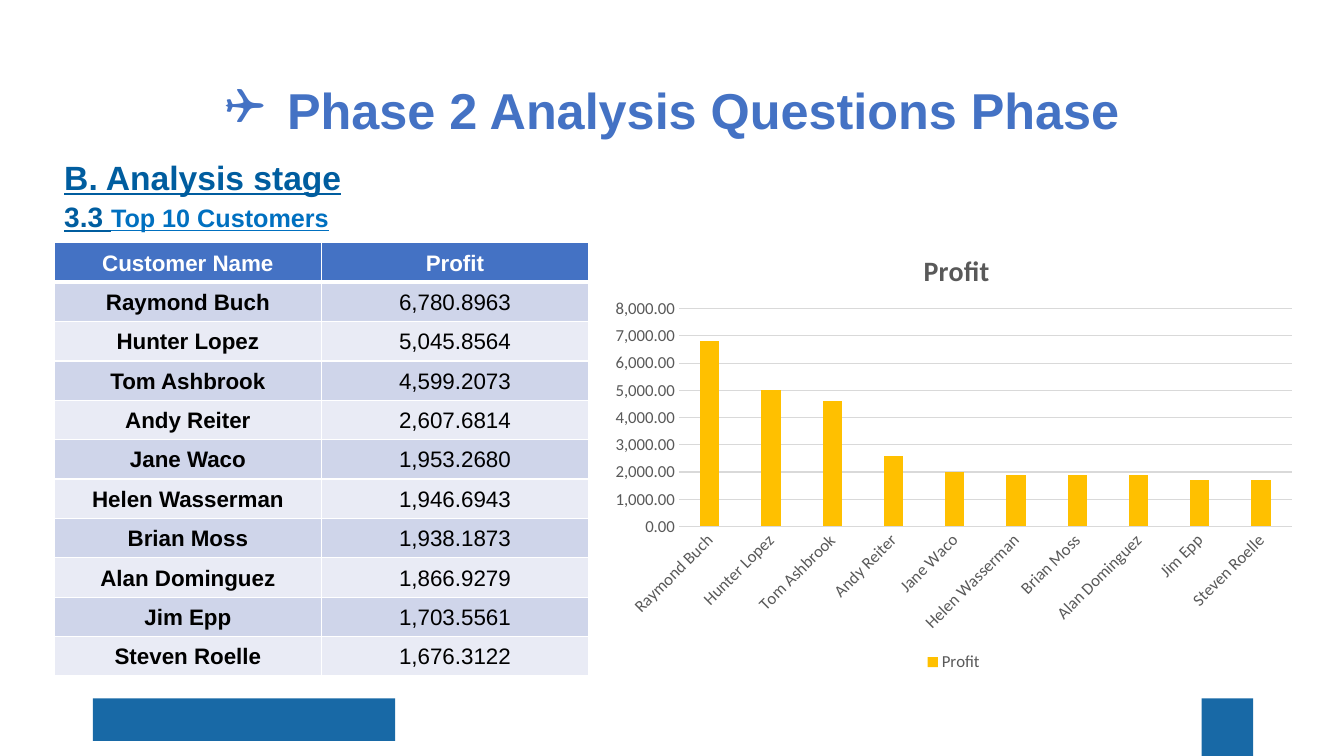
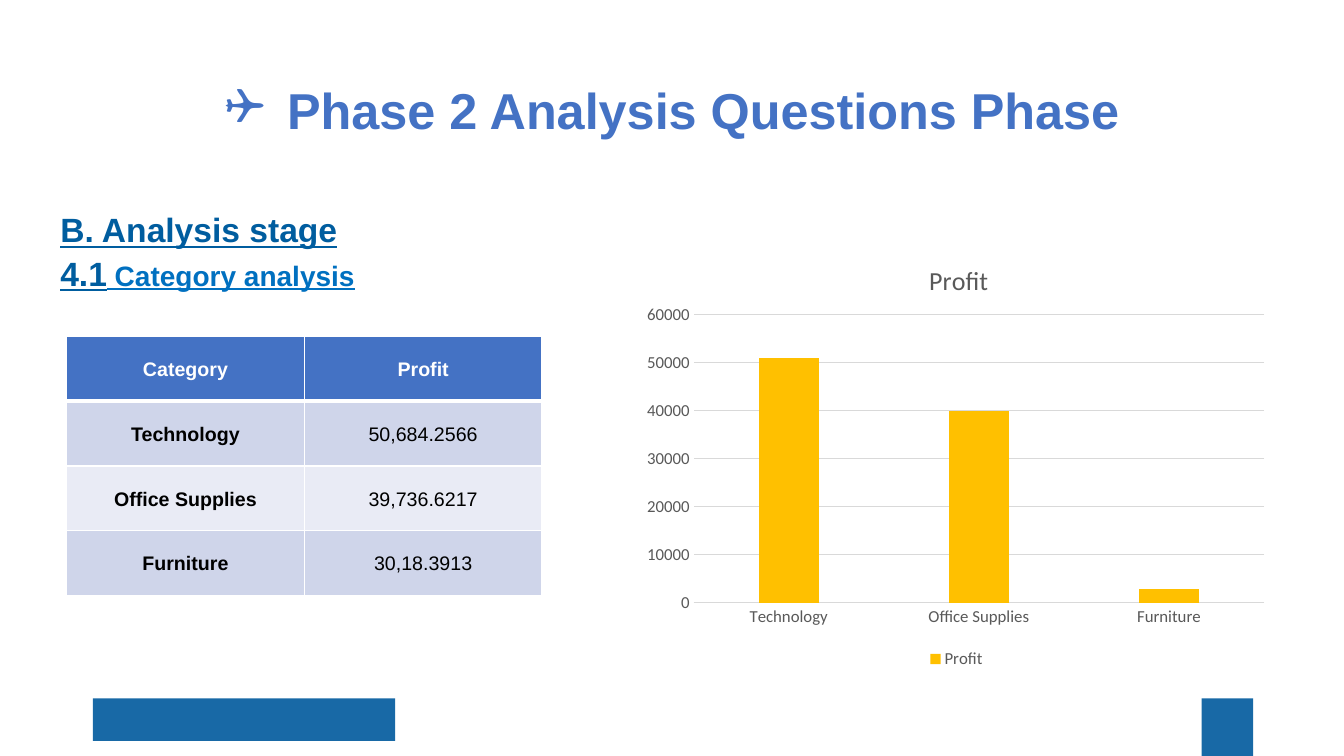
from dataclasses import dataclass
from typing import NamedTuple

from lxml.etree import SubElement
from pptx import Presentation
from pptx.chart.data import CategoryChartData
from pptx.dml.color import RGBColor
from pptx.enum.chart import XL_CHART_TYPE as ChartType
from pptx.enum.chart import XL_LEGEND_POSITION as LegendPosition
from pptx.enum.chart import XL_TICK_MARK as TickMark
from pptx.enum.shapes import MSO_SHAPE as Preset
from pptx.enum.text import MSO_ANCHOR as Anchor
from pptx.enum.text import MSO_AUTO_SIZE as AutoSize
from pptx.enum.text import PP_ALIGN as Align
from pptx.oxml import parse_xml
from pptx.oxml.ns import nsdecls, qn
from pptx.util import Cm, Pt


# Theme and slide descriptions
@dataclass(frozen=True)
class Theme:
    font: str = "Arial"
    chart_font: str = "Calibri"
    title: str = "4472C4"
    band: str = "1869A6"
    stage: str = "005D9F"
    topic: str = "0070C0"
    header: str = "4472C4"
    rows: tuple[str, str] = ("CFD5EA", "E9EBF5")
    white: str = "FFFFFF"
    black: str = "000000"
    bars: str = "FFC000"
    chart_text: str = "595959"
    grid: str = "D9D9D9"
    title_size: float = 36
    stage_size: float = 24
    chart_size: float = 12


THEME = Theme()


class Box(NamedTuple):
    """Left, top, width and height in centimetres."""
    left: float
    top: float
    width: float
    height: float

    def lengths(self) -> tuple[Cm, ...]:
        return tuple(Cm(value) for value in self)


class Fractions(NamedTuple):
    """A place inside a chart, as shares of its width and height."""
    x: float
    y: float
    w: float | None = None
    h: float | None = None


@dataclass(frozen=True)
class Heading:
    box: Box
    number: str
    number_size: float
    topic: str
    topic_size: float


@dataclass(frozen=True)
class ProfitTable:
    box: Box
    size: float
    rows: list[tuple[str, str]]


@dataclass(frozen=True)
class ProfitChart:
    box: Box
    plot: Fractions
    values: list[int]
    title_size: float
    title_bold: bool = False
    number_format: str = "General"
    label_angle: int = 0


@dataclass(frozen=True)
class AnalysisSlide:
    heading: Heading
    table: ProfitTable
    chart: ProfitChart


SLIDE_WIDTH, SLIDE_HEIGHT = 33.87, 19.05
TITLE_TEXT = "Phase 2 Analysis Questions Phase"
TITLE_BOX = Box(2.34, 1.02, 29.21, 3.68)
BAND_TOP = 17.6
BANDS = [
    Box(2.34, BAND_TOP, 7.62, 1.07),
    Box(30.28, BAND_TOP, 1.3, SLIDE_HEIGHT - BAND_TOP),
]
CHART_TITLE_PLACE = Fractions(0.45, 0.05)

SLIDES = [
    AnalysisSlide(
        Heading(Box(1.37, 3.76, 30.18, 13.41), "3.3 ", 20, "Top 10 Customers", 18),
        ProfitTable(Box(1.37, 6.12, 13.46, 10.92), 16, [
            ("Customer Name", "Profit"),
            ("Raymond Buch", "6,780.8963"),
            ("Hunter Lopez", "5,045.8564"),
            ("Tom Ashbrook", "4,599.2073"),
            ("Andy Reiter", "2,607.6814"),
            ("Jane Waco", "1,953.2680"),
            ("Helen Wasserman", "1,946.6943"),
            ("Brian Moss", "1,938.1873"),
            ("Alan Dominguez", "1,866.9279"),
            ("Jim Epp", "1,703.5561"),
            ("Steven Roelle", "1,676.3122"),
        ]),
        ProfitChart(
            Box(15.16, 5.61, 17.75, 11.43), Fractions(0.11, 0.19, 0.87, 0.48),
            [6800, 5000, 4600, 2600, 2000, 1900, 1900, 1900, 1700, 1700],
            title_size=20, title_bold=True, number_format="#,##0.00", label_angle=-45,
        ),
    ),
    AnalysisSlide(
        Heading(Box(1.27, 5.08, 30.28, 12.09), "4.1", 24, " Category analysis", 20),
        ProfitTable(Box(1.68, 8.48, 11.98, 6.53), 14, [
            ("Category", "Profit"),
            ("Technology", "50,684.2566"),
            ("Office Supplies", "39,736.6217"),
            ("Furniture", "30,18.3913"),
        ]),
        ProfitChart(
            Box(16.03, 5.94, 16.15, 11.02), Fractions(0.09, 0.18, 0.89, 0.66),
            [51000, 40000, 3000], title_size=18.6,
        ),
    ),
]


# Text
def format_font(font, *, size: float, color: str, name: str = THEME.font,
                bold: bool = False, underline: bool = False) -> None:
    font.name, font.size = name, Pt(size)
    font.bold, font.underline = bold, underline
    font.color.rgb = RGBColor.from_string(color)


def add_text(paragraph, text: str, **font_format) -> None:
    run = paragraph.add_run()
    run.text = text
    format_font(run.font, **font_format)


def fill_solid(fill, color: str) -> None:
    fill.solid()
    fill.fore_color.rgb = RGBColor.from_string(color)


def draw_title(slide) -> None:
    title = slide.shapes.title
    title.left, title.top, title.width, title.height = TITLE_BOX.lengths()
    frame = title.text_frame
    frame.auto_size, frame.vertical_anchor = AutoSize.NONE, Anchor.MIDDLE
    paragraph = frame.paragraphs[0]
    paragraph.alignment, paragraph.line_spacing = Align.CENTER, 0.9
    properties = paragraph._p.get_or_add_pPr()
    properties.set("marL", str(Cm(1.57)))
    properties.set("indent", str(Cm(-1.57)))
    SubElement(properties, qn("a:buFont"), typeface="Wingdings")
    SubElement(properties, qn("a:buChar"), char="❑")
    add_text(paragraph, TITLE_TEXT, size=THEME.title_size, color=THEME.title, bold=True)


def draw_heading(slide, heading: Heading) -> None:
    frame = slide.shapes.add_textbox(*heading.box.lengths()).text_frame
    frame.word_wrap = True
    stage, topic = frame.paragraphs[0], frame.add_paragraph()
    stage.line_spacing = topic.line_spacing = 1.07
    emphasis = {"bold": True, "underline": True}
    add_text(stage, "B. Analysis stage", size=THEME.stage_size, color=THEME.stage, **emphasis)
    add_text(topic, heading.number, size=heading.number_size, color=THEME.stage, **emphasis)
    add_text(topic, heading.topic, size=heading.topic_size, color=THEME.topic, **emphasis)


# Bands, kept on the shared layout
def add_bands(slide, layout) -> None:
    for placeholder in list(layout.placeholders)[1:]:
        layout.shapes.element.remove(placeholder.element)
    for box in BANDS:
        band = slide.shapes.add_shape(Preset.RECTANGLE, *box.lengths())
        band.shadow.inherit = False
        fill_solid(band.fill, THEME.band)
        band.line.fill.background()
        layout.shapes.element.append(band.element)


# Table
def set_borders(cell, bottom_width: float) -> None:
    properties = cell._tc.get_or_add_tcPr()
    for side, width in (("L", 1), ("R", 1), ("T", 1), ("B", bottom_width)):
        line = SubElement(properties, qn(f"a:ln{side}"), w=str(Pt(width)))
        SubElement(SubElement(line, qn("a:solidFill")), qn("a:srgbClr"), val=THEME.white)


def draw_table(slide, spec_table: ProfitTable) -> None:
    rows, box = spec_table.rows, spec_table.box
    columns = len(rows[0])
    table = slide.shapes.add_table(len(rows), columns, *box.lengths()).table
    table.horz_banding = False
    for column in table.columns:
        column.width = Cm(box.width / columns)
    for row_index, texts in enumerate(rows):
        table.rows[row_index].height = Cm(box.height / len(rows))
        is_header = row_index == 0
        for column_index, text in enumerate(texts):
            cell = table.cell(row_index, column_index)
            set_borders(cell, 3 if is_header else 1)
            fill_solid(cell.fill, THEME.header if is_header else THEME.rows[(row_index - 1) % 2])
            cell.vertical_anchor = Anchor.MIDDLE
            cell.margin_left = cell.margin_right = Cm(0.18)
            cell.margin_top = cell.margin_bottom = 0
            paragraph = cell.text_frame.paragraphs[0]
            paragraph.alignment, paragraph.line_spacing = Align.CENTER, 1.07
            add_text(paragraph, text, size=spec_table.size,
                     color=THEME.white if is_header else THEME.black,
                     bold=is_header or column_index == 0)


# Chart
def place_in_chart(element, place: Fractions, index: int) -> None:
    for layout in element.findall(qn("c:layout")):
        element.remove(layout)
    target = '<c:layoutTarget val="inner"/>' if place.w else ""
    modes = '<c:xMode val="edge"/><c:yMode val="edge"/>'
    values = "".join(f'<c:{key} val="{value}"/>'
                     for key, value in place._asdict().items() if value is not None)
    element.insert(index, parse_xml(
        f'<c:layout {nsdecls("c")}><c:manualLayout>{target}{modes}{values}'
        "</c:manualLayout></c:layout>"))


def draw_chart(slide, profit: ProfitChart, categories: list[str]) -> None:
    data = CategoryChartData()
    data.categories = categories
    data.add_series("Profit", profit.values)
    chart = slide.shapes.add_chart(ChartType.COLUMN_CLUSTERED, *profit.box.lengths(), data).chart
    text_format = {"name": THEME.chart_font, "size": THEME.chart_size, "color": THEME.chart_text}
    format_font(chart.font, **text_format)

    chart.has_title = True
    add_text(chart.chart_title.text_frame.paragraphs[0], "Profit",
             **(text_format | {"size": profit.title_size, "bold": profit.title_bold}))
    chart.has_legend = True
    chart.legend.position, chart.legend.include_in_layout = LegendPosition.BOTTOM, False
    format_font(chart.legend.font, **text_format)

    plot = chart.plots[0]
    plot.gap_width, plot.overlap, plot.vary_by_categories = 219, -27, False
    fill_solid(plot.series[0].format.fill, THEME.bars)

    category_axis, value_axis = chart.category_axis, chart.value_axis
    for axis in (category_axis, value_axis):
        axis.major_tick_mark = axis.minor_tick_mark = TickMark.NONE
        format_font(axis.tick_labels.font, **text_format)
    value_axis.has_major_gridlines = True
    for line in (category_axis.format.line, value_axis.major_gridlines.format.line):
        line.width = Pt(0.75)
        fill_solid(line.fill, THEME.grid)
    value_axis.format.line.fill.background()
    value_axis.tick_labels.number_format = profit.number_format
    value_axis.tick_labels.number_format_is_linked = False

    body = chart.element.xpath(".//c:catAx/c:txPr/a:bodyPr")[0]
    body.set("rot", str(profit.label_angle * 60000))
    place_in_chart(chart.element.xpath(".//c:plotArea")[0], profit.plot, 0)
    place_in_chart(chart.element.xpath("./c:chart/c:title")[0], CHART_TITLE_PLACE, 1)


def main() -> None:
    presentation = Presentation()
    presentation.slide_width, presentation.slide_height = Cm(SLIDE_WIDTH), Cm(SLIDE_HEIGHT)
    layout = presentation.slide_layouts.get_by_name("Title Only")
    for index, content in enumerate(SLIDES):
        slide = presentation.slides.add_slide(layout)
        if index == 0:
            add_bands(slide, layout)
        draw_title(slide)
        draw_heading(slide, content.heading)
        draw_table(slide, content.table)
        draw_chart(slide, content.chart, [name for name, _ in content.table.rows[1:]])
    presentation.save("out.pptx")


if __name__ == "__main__":
    main()
